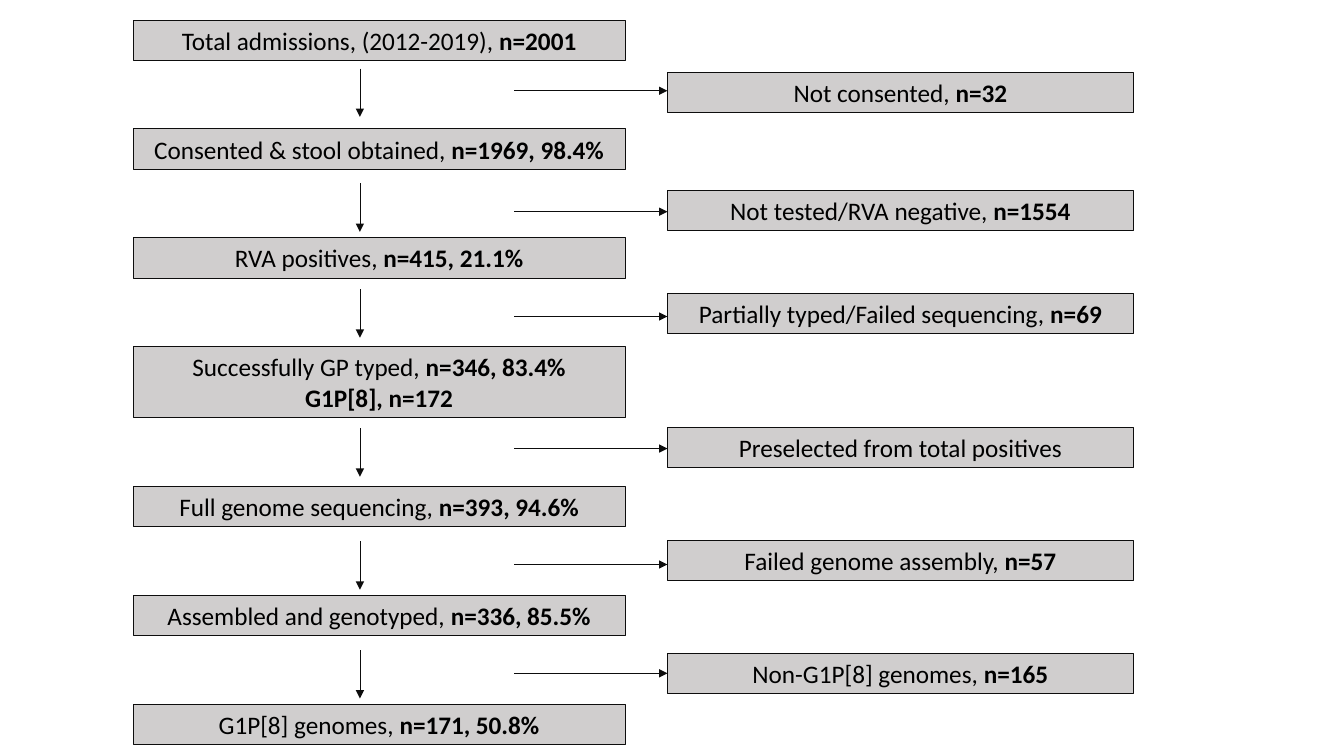
from dataclasses import dataclass

from lxml import etree
from pptx import Presentation
from pptx import util as u
from pptx.dml.color import RGBColor
from pptx.enum import shapes, text
from pptx.oxml import ns


@dataclass(frozen=True)
class Theme:
    fill: RGBColor = RGBColor(0xD0, 0xCE, 0xCE)
    line: RGBColor = RGBColor(0x0D, 0x0D, 0x0D)
    ink: RGBColor = RGBColor(0, 0, 0)
    font: str = "Calibri"
    text_size: float = 18
    border: float = 0.75
    arrow: float = 0.5


class FlowSlide:
    """Style and current slide; lengths are grid cells of a tenth of an inch."""

    def __init__(self, slide, theme):
        self.slide, self.theme = slide, theme

    def cells(self, *counts):
        return [u.Inches(count / 10) for count in counts]

    def box(self, col, row, cols, rows, lines):
        """Box whose lines are lists of (wording, bold) runs."""
        box = self.slide.shapes.add_shape(
            shapes.MSO_SHAPE.RECTANGLE, *self.cells(col, row, cols, rows))
        box.shadow.inherit = False
        box.fill.solid()
        box.fill.fore_color.rgb = self.theme.fill
        box.line.color.rgb = self.theme.line
        box.line.width = u.Pt(self.theme.border)
        frame = box.text_frame
        frame.word_wrap = True
        frame.auto_size = text.MSO_AUTO_SIZE.SHAPE_TO_FIT_TEXT
        frame.vertical_anchor = text.MSO_ANCHOR.TOP
        for index, runs in enumerate(lines):
            line = frame.add_paragraph() if index else frame.paragraphs[0]
            line.alignment = text.PP_ALIGN.CENTER
            for wording, bold in runs:
                self.run(line, wording, bold)

    def run(self, line, wording, bold):
        run = line.add_run()
        run.text = wording
        run.font.name = self.theme.font
        run.font.size = u.Pt(self.theme.text_size)
        run.font.bold = bold
        run.font.color.rgb = self.theme.ink

    def arrow(self, col, row, to_col, to_row):
        arrow = self.slide.shapes.add_connector(
            shapes.MSO_CONNECTOR.STRAIGHT, *self.cells(col, row, to_col, to_row))
        arrow.line.color.rgb = self.theme.line
        arrow.line.width = u.Pt(self.theme.arrow)
        etree.SubElement(arrow.line._get_or_add_ln(), ns.qn("a:tailEnd"), type="triangle")
        etree.SubElement(arrow._element.spPr, ns.qn("a:effectLst"))


# Grid columns and rows
STAGE_COL, STAGE_COLS = 13.2, 48.8
EXCLUDED_COL, EXCLUDED_COLS = 66.2, 46.2
DOWN_COL, BRANCH_COL = 35.7, 51
FIRST_ROW, STAGE_STEP = 2, 10.8
BOX_ROWS, EXTRA_LINE = 4, 3.05
DOWN_ROWS = 4.8

# Stages: label, count, optional second line
stages = [
    ("Total admissions, (2012-2019), ", "n=2001"),
    ("Consented & stool obtained, ", "n=1969, 98.4%"),
    ("RVA positives, ", "n=415, 21.1%"),
    ("Successfully GP typed, ", "n=346, 83.4%", "G1P[8], n=172"),
    ("Full genome sequencing, ", "n=393, 94.6%"),
    ("Assembled and genotyped, ", "n=336, 85.5%"),
    ("G1P[8] genomes, ", "n=171, 50.8%"),
]

# Steps between stages: down arrow row, branch arrow row, box row, label, count
steps = [
    (6.8, 9, 7.2, "Not consented, ", "n=32"),
    (18.2, 21, 18.9, "Not tested/RVA negative, ", "n=1554"),
    (28.7, 31.4, 29.1, "Partially typed/Failed sequencing, ", "n=69"),
    (42.5, 44.5, 42.4, "Preselected from total positives", None),
    (53.7, 56, 53.6, "Failed genome assembly, ", "n=57"),
    (64.5, 66.8, 64.8, "Non-G1P[8] genomes, ", "n=165"),
]

deck = Presentation()
deck.slide_width, deck.slide_height = u.Inches(13.33), u.Inches(7.5)
flow = FlowSlide(deck.slides.add_slide(deck.slide_layouts[6]), Theme())

# Main column of stages
stage_row = FIRST_ROW
for label, count, *subtotals in stages:
    lines = [[(label, False), (count, True)]]
    lines += [[(subtotal, True)] for subtotal in subtotals]
    extra = EXTRA_LINE * len(subtotals)
    flow.box(STAGE_COL, stage_row, STAGE_COLS, BOX_ROWS + extra, lines)
    stage_row += STAGE_STEP + extra

# Down arrows and excluded samples
for down_row, branch_row, excluded_row, label, count in steps:
    flow.arrow(DOWN_COL, down_row, DOWN_COL, down_row + DOWN_ROWS)
    flow.arrow(BRANCH_COL, branch_row, EXCLUDED_COL, branch_row)
    runs = [(label, False)] + ([(count, True)] if count else [])
    flow.box(EXCLUDED_COL, excluded_row, EXCLUDED_COLS, BOX_ROWS, [runs])

deck.save("out.pptx")
